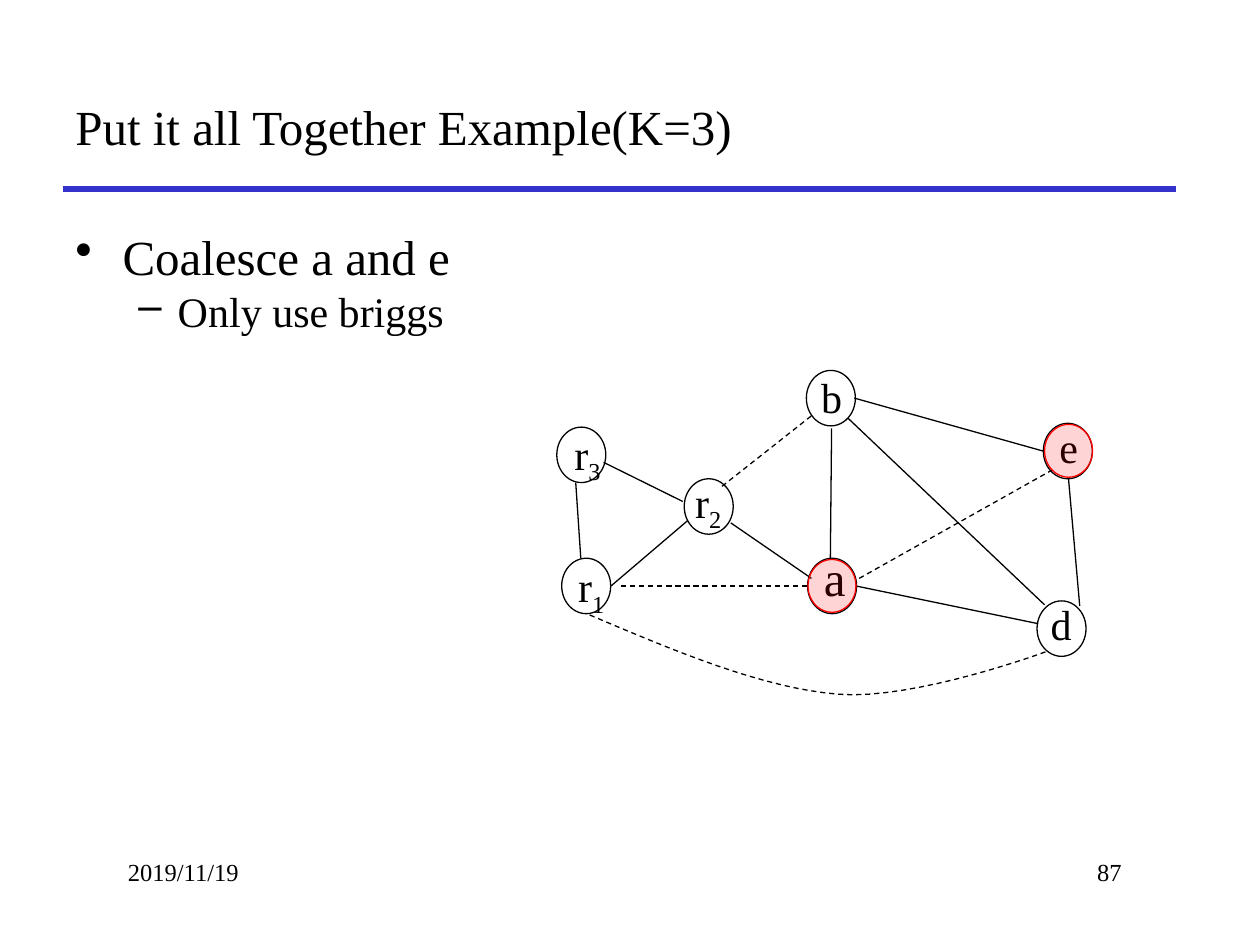
from lxml import etree
from pptx import Presentation
from pptx.dml.color import RGBColor
from pptx.enum.dml import MSO_LINE
from pptx.enum.shapes import MSO_CONNECTOR, MSO_SHAPE
from pptx.enum.text import MSO_ANCHOR, PP_ALIGN
from pptx.oxml.ns import qn
from pptx.util import Pt

BLACK = RGBColor(0, 0, 0)
RULE_BLUE = RGBColor(0x33, 0x33, 0xCC)
RED = RGBColor(0xFF, 0, 0)
DASH = MSO_LINE.DASH
OVAL = MSO_SHAPE.OVAL
STRAIGHT = MSO_CONNECTOR.STRAIGHT
MIDDLE, TOP = MSO_ANCHOR.MIDDLE, MSO_ANCHOR.TOP
LEFT, RIGHT = PP_ALIGN.LEFT, PP_ALIGN.RIGHT

prs = Presentation()
prs.slide_width, prs.slide_height = Pt(720), Pt(540)
slide = prs.slides.add_slide(prs.slide_layouts[6])
shapes = slide.shapes


def add_text(box, lines, size, wrap=True, anchor=TOP, align=LEFT):
    """Add a text box; each line is a list of runs, and every run after the first is a subscript."""
    frame = shapes.add_textbox(*map(Pt, box)).text_frame
    frame.word_wrap = wrap
    frame.vertical_anchor = anchor
    for i, runs in enumerate(lines):
        paragraph = frame.paragraphs[0] if i == 0 else frame.add_paragraph()
        paragraph.alignment = align
        for j, text in enumerate(runs):
            run = paragraph.add_run()
            run.text = text
            for name, value in {"name": "Times New Roman", "size": Pt(size)}.items():
                setattr(run.font, name, value)
            run.font.color.rgb = BLACK
            if j:
                run.font._element.set("baseline", "-25000")
    return frame


def add_line(start, end, color=BLACK, width=0.75, dash=None):
    line = shapes.add_connector(STRAIGHT, *map(Pt, (*start, *end)))
    line.line.color.rgb = color
    line.line.width = Pt(width)
    if dash:
        line.line.dash_style = dash
    etree.SubElement(line._element.spPr, qn("a:effectLst"))


# Title, rule and footer
add_line((36, 108), (672, 108), RULE_BLUE, 3)
add_text((66, 486, 150, 36), [["2019/11/19"]], 14)
add_text((498, 486, 150, 36), [["87"]], 14, align=RIGHT)
add_text((36, 36, 636, 72), [["Put it all Together Example(K=3)"]], 28, anchor=MIDDLE)

# Bullets
body = add_text((36, 126, 343.5, 366), [["Coalesce a and e"], ["Only use briggs"]], 28)
bullet_styles = [("•", 27, 28, 0), ("–", 22.5, 24, 1)]
for paragraph, (mark, hang, size, level) in zip(body.paragraphs, bullet_styles):
    paragraph.level = level
    properties = paragraph._p.get_or_add_pPr()
    properties.set("marL", str(Pt(27 if level == 0 else 58.5)))
    properties.set("indent", str(-Pt(hang)))
    etree.SubElement(properties, qn("a:buChar")).set("char", mark)
    paragraph.runs[0].font.size = Pt(size)

# Graph nodes: label runs, circle corner, label corner, label width, text size
nodes = [
    (["r", "3"], (318.2, 244.1), (321.1, 241.2), 31.7, 24),
    (["r", "1"], (321, 319), (323.3, 316.8), 31.7, 24),
    (["a"], (461.5, 319), (463.7, 309.6), 28, 28),
    (["r", "2"], (391, 273.6), (390.2, 268.6), 31.7, 24),
    (["d"], (592.6, 343.4), (593.3, 338.4), 27.4, 24),
    (["b"], (460.8, 211.7), (462.2, 208.8), 27.4, 24),
    (["e"], (596.2, 241.9), (598.3, 237.6), 25.2, 24),
]
for label, circle_at, label_at, label_width, size in nodes:
    circle = shapes.add_shape(OVAL, *map(Pt, (*circle_at, 28, 31.7)))
    circle.shadow.inherit = False
    circle.fill.background()
    circle.line.color.rgb = BLACK
    circle.line.width = Pt(0.75)
    add_text((*label_at, label_width, 41 if size == 28 else 36), [label], size, wrap=False)

# Interference edges are solid, move edges are dashed
interference_edges = [
    ((344.9, 264.2), (390.2, 286.6)),  # r3 - r2
    ((329, 275.8), (331.9, 319)),  # r3 - r1
    ((349.2, 334.8), (393.1, 297.4)),  # r1 - r2
    ((475.2, 244.8), (474.5, 319)),  # b - a
    ((488.9, 334.8), (593.3, 356.4)),  # a - d
    ((617, 346.3), (610.6, 273.6)),  # d - e
    ((488.2, 227.5), (596.2, 257.8)),  # b - e
    ((484.6, 239), (596.9, 345.6)),  # b - d
    ((417.6, 298.8), (463.7, 330.5)),  # r2 - a
]
move_edges = [
    ((412.6, 277.9), (463.7, 237.6)),  # r2 - b
    ((355, 334.8), (461.5, 334.8)),  # r1 - a
    ((491, 330.5), (601.2, 268.6)),  # a - e
]
for edges, dash in ((interference_edges, None), (move_edges, DASH)):
    for start, end in edges:
        add_line(start, end, dash=dash)

# Curved move edge r1 - d, two Bezier arcs
arcs = [
    ((337, 351.4), (385.9, 372.2), (435.6, 393.1), (478.8, 396.7)),
    ((478.8, 396.7), (522.7, 400.3), (598.3, 372.2), (598.3, 372.2)),
]
STEPS = 16
curve_points = []
for arc in arcs:
    for step in range(1, STEPS + 1):
        t = step / STEPS
        weights = ((1 - t) ** 3, 3 * t * (1 - t) ** 2, 3 * t * t * (1 - t), t ** 3)
        curve_points.append(tuple(
            Pt(sum(w * point[axis] for w, point in zip(weights, arc))) for axis in (0, 1)))
builder = shapes.build_freeform(*map(Pt, arcs[0][0]))
builder.add_line_segments(curve_points, close=False)
curve = builder.convert_to_shape()
curve.shadow.inherit = False
curve.fill.background()
curve.line.color.rgb = BLACK
curve.line.width = Pt(0.75)
curve.line.dash_style = DASH

# Highlights on the coalesced nodes e and a
for corner in ((596.9, 242.5), (461.7, 319.7)):
    highlight = shapes.add_shape(OVAL, *map(Pt, (*corner, 27.4, 30.2)))
    highlight.shadow.inherit = False
    highlight.fill.solid()
    highlight.fill.fore_color.rgb = RED
    fill_color = highlight._element.spPr.find(qn("a:solidFill"))[0]
    etree.SubElement(fill_color, qn("a:alpha")).set("val", "17000")
    highlight.line.color.rgb = RED
    highlight.line.width = Pt(0.75)

prs.save("out.pptx")
